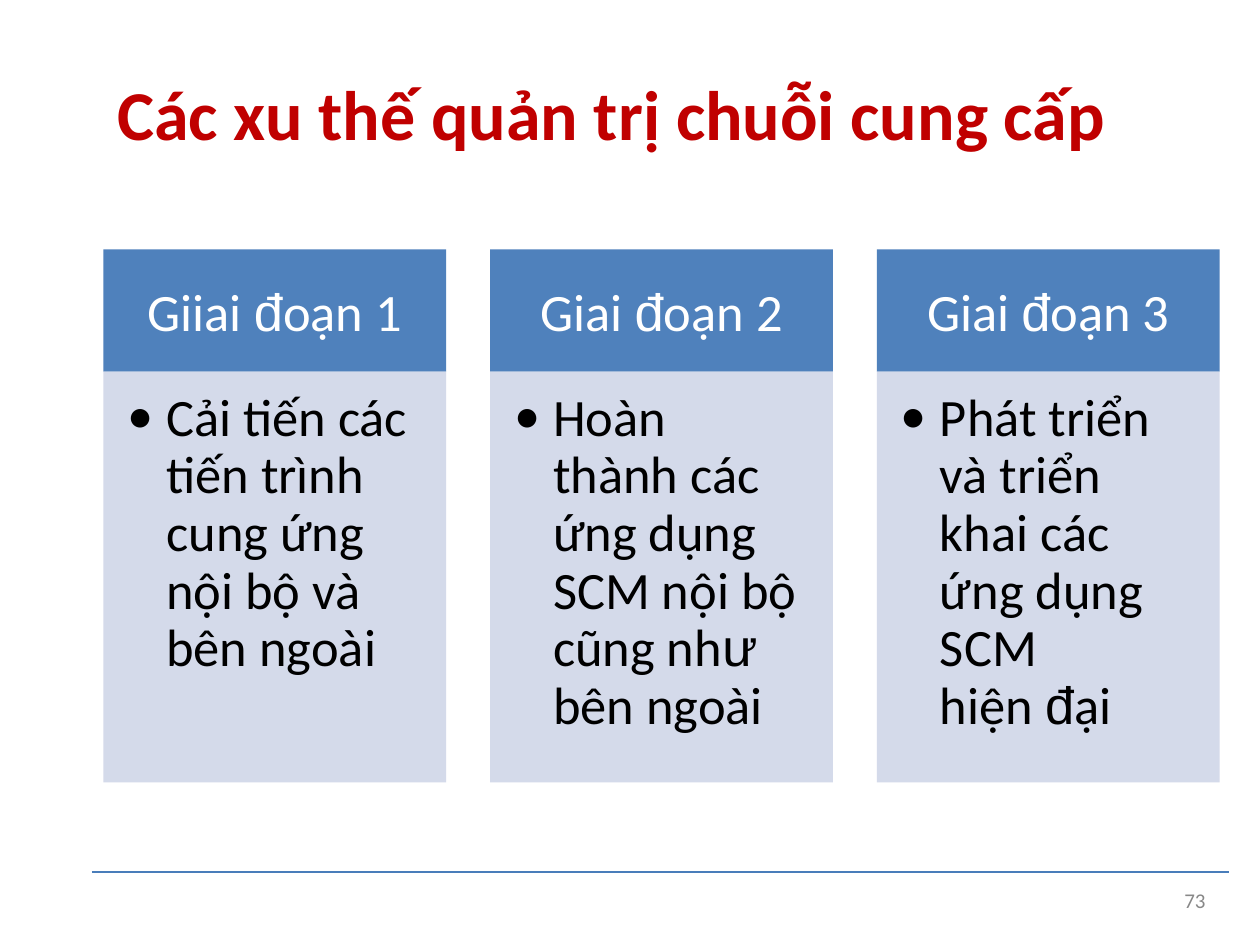
from itertools import groupby

from lxml import etree
from pptx import Presentation
from pptx.dml.color import RGBColor
from pptx.enum import shapes, text
from pptx.oxml import ns
from pptx.util import Inches, Pt

RED = RGBColor(0xC0, 0x00, 0x00)
BLUE = RGBColor(0x4F, 0x81, 0xBC)
RULE_BLUE = RGBColor(0x49, 0x7D, 0xBA)
PALE = RGBColor(0xD0, 0xD7, 0xE8)
WHITE = RGBColor(0xFF, 0xFF, 0xFF)
BLACK = RGBColor(0x00, 0x00, 0x00)
GREY = RGBColor(0x88, 0x88, 0x88)

ARIAL_LETTERS = "đư"
HEADER_HEIGHT = 0.97
STAGES = [
    ("Giiai đoạn 1",
     ["Cải tiến các", "tiến trình", "cung ứng", "nội bộ và", "bên ngoài"]),
    ("Giai đoạn 2",
     ["Hoàn", "thành các", "ứng dụng", "SCM nội bộ", "cũng như", "bên ngoài"]),
    ("Giai đoạn 3",
     ["Phát triển", "và triển", "khai các", "ứng dụng", "SCM", "hiện đại"]),
]


def add_text(sp, lines, size, color, bold=False, align=text.PP_ALIGN.LEFT,
             anchor=text.MSO_ANCHOR.TOP, top=0, spacing=None, bullet=False):
    tf = sp.text_frame
    tf.word_wrap = True
    tf.vertical_anchor = anchor
    tf.margin_left = tf.margin_right = tf.margin_bottom = 0
    tf.margin_top = Inches(top)
    p = tf.paragraphs[0]
    if bullet:
        pPr = p._p.get_or_add_pPr()
        pPr.set("marL", str(Inches(0.5)))
        pPr.set("indent", str(Inches(-0.31)))
        etree.SubElement(pPr, ns.qn("a:buFont"), typeface="Calibri")
        etree.SubElement(pPr, ns.qn("a:buChar"), char="•")
    p.alignment = align
    if spacing:
        p.line_spacing = Pt(spacing)
    for i, line in enumerate(lines):
        if i:
            p.add_line_break()
        for in_arial, letters in groupby(line, lambda c: c in ARIAL_LETTERS):
            r = p.add_run()
            r.text = "".join(letters)
            r.font.name = "Arial" if in_arial else "Calibri"
            r.font.size = Pt(size)
            r.font.bold = bold
            r.font.color.rgb = color


def add_label(s, box, label, **fmt):
    sp = s.shapes.add_textbox(*map(Inches, box))
    add_text(sp, [label], **fmt)


def add_panel(s, box, fill, alpha=None):
    sp = s.shapes.add_shape(shapes.MSO_SHAPE.RECTANGLE, *map(Inches, box))
    sp.shadow.inherit = False
    sp.fill.solid()
    sp.fill.fore_color.rgb = fill
    sp.line.fill.background()
    if alpha:
        clr = sp._element.spPr.find(".//" + ns.qn("a:srgbClr"))
        etree.SubElement(clr, ns.qn("a:alpha"), val=str(alpha * 1000))
    return sp


def add_stage(s, box, heading, lines):
    x, y, w, h = box
    header = add_panel(s, (x, y, w, HEADER_HEIGHT), BLUE)
    add_text(header, [heading], size=30, color=WHITE,
             align=text.PP_ALIGN.CENTER, anchor=text.MSO_ANCHOR.MIDDLE)
    body = add_panel(s, (x, y + HEADER_HEIGHT, w, h - HEADER_HEIGHT), PALE, alpha=90)
    add_text(body, lines, size=30, color=BLACK, top=0.14, spacing=32.9, bullet=True)


def add_stages(s, box, gap):
    x, y, w, h = box
    width = (w - gap * (len(STAGES) - 1)) / len(STAGES)
    for i, (heading, lines) in enumerate(STAGES):
        add_stage(s, (x + i * (width + gap), y, width, h), heading, lines)


def add_footer(s, box):
    x, y, w, h = box
    rule = s.shapes.add_connector(shapes.MSO_CONNECTOR.STRAIGHT, Inches(x),
                                  Inches(y), Inches(x + w), Inches(y))
    rule.line.color.rgb = RULE_BLUE
    rule.line.width = Pt(0.78)
    etree.SubElement(rule._element.spPr, ns.qn("a:effectLst"))
    add_label(s, (x + w - 0.35, y + 0.15, 0.27, h - 0.15), "73",
              size=12, color=GREY, spacing=12.4)


def main():
    prs = Presentation()
    prs.slide_width, prs.slide_height = Inches(10), Inches(7.5)
    s = prs.slides.add_slide(prs.slide_layouts[6])
    add_label(s, (0.93, 0.54, 8.2, 0.7), "Các xu thế quản trị chuỗi cung cấp",
              size=40, color=RED, bold=True, top=0.02)
    add_stages(s, (0.82, 1.98, 8.86, 4.23), gap=0.35)
    add_footer(s, (0.73, 6.92, 9.02, 0.34))
    prs.save("out.pptx")


if __name__ == "__main__":
    main()
